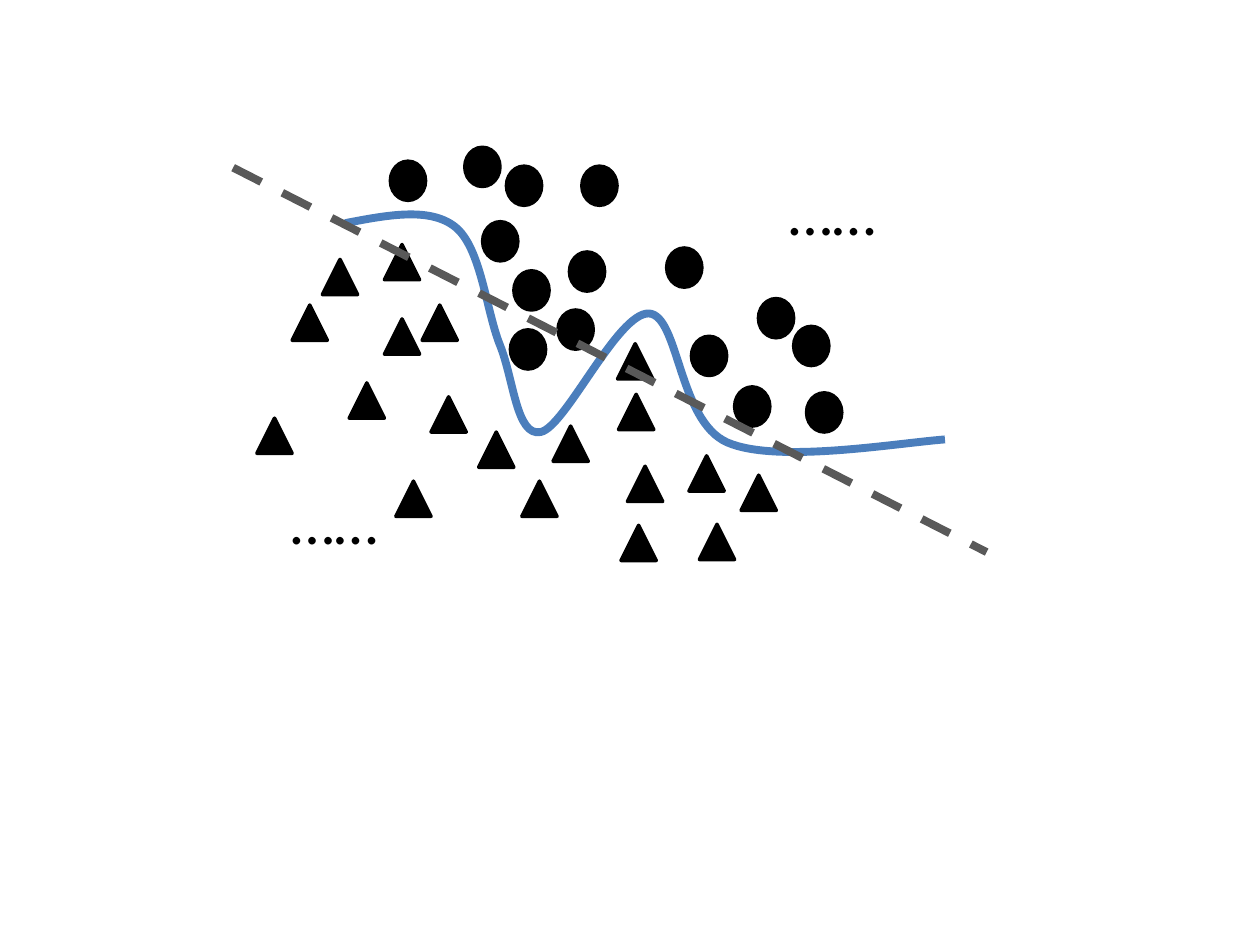
from lxml.etree import SubElement
from pptx import Presentation
from pptx.dml.color import RGBColor
from pptx.enum.dml import MSO_LINE
from pptx.enum.shapes import MSO_CONNECTOR, MSO_SHAPE
from pptx.enum.text import MSO_AUTO_SIZE
from pptx.oxml.ns import qn
from pptx.util import Cm, Pt

# Content: all lengths in centimetres
COLORS = {"marker": "000000", "curve": "4B7EBC", "dashes": "595959"}

CIRCLES = [
    (14.81, 7.8), (11.48, 5.08), (13.44, 5), (11.25, 6.25), (11.73, 3.35),
    (10.21, 3.35), (7.87, 3.25), (10.36, 5.46), (13.94, 6.78), (16.26, 7.92),
    (16, 6.58), (15.29, 6.02), (10.29, 6.65), (9.73, 4.47), (9.37, 2.97),
]
TRIANGLES = [
    (5.18, 8.43), (5.89, 6.15), (7.04, 7.72), (7.75, 4.93), (8.69, 8),
    (7.98, 9.7), (11.15, 8.59), (13.89, 9.19), (12.45, 6.93), (9.65, 8.71),
    (12.52, 10.59), (14.1, 10.57), (14.94, 9.58), (7.75, 6.43), (6.5, 5.23),
    (8.51, 6.15), (12.47, 7.95), (12.65, 9.4), (10.52, 9.7),
]
# Preset shape, width, height, positions
CLASSES = [
    (MSO_SHAPE.OVAL, 0.71, 0.79, CIRCLES),
    (MSO_SHAPE.ISOSCELES_TRIANGLE, 0.71, 0.71, TRIANGLES),
]
ELLIPSES = [("……", 5.61, 9.58), ("……", 15.65, 3.35)]
LINEAR_BOUNDARY = [(4.7, 3.38), (19.89, 11.13)]

# Curved boundary: its frame, its start, then two handles and an end per segment
CURVE_FRAME = (6.96, 4.32, 19.05, 9.1)
CURVE_START = (6.96, 4.5)
CURVE_SEGMENTS = [
    [(7.8, 4.34), (8.66, 4.17), (9.17, 4.57)],
    [(9.7, 4.98), (9.8, 6.27), (10.08, 6.96)],
    [(10.36, 7.65), (10.41, 8.81), (10.9, 8.71)],
    [(11.4, 8.61), (12.45, 6.3), (13.08, 6.32)],
    [(13.69, 6.35), (13.67, 8.48), (14.66, 8.92)],
    [(15.65, 9.35), (18.03, 8.94), (19.05, 8.86)],
]


def style_line(line, color, width):
    line.color.rgb = RGBColor.from_string(COLORS[color])
    line.width = Pt(width)


def add_marker(page, kind, left, top, width, height):
    marker = page.shapes.add_shape(kind, Cm(left), Cm(top), Cm(width), Cm(height))
    marker.shadow.inherit = False
    marker.fill.solid()
    marker.fill.fore_color.rgb = RGBColor.from_string(COLORS["marker"])
    style_line(marker.line, "marker", 2)


def add_dots(page, text, left, top):
    box = page.shapes.add_textbox(Cm(left), Cm(top), Cm(2.72), Cm(1.17))
    box.text_frame.word_wrap = True
    box.text_frame.auto_size = MSO_AUTO_SIZE.SHAPE_TO_FIT_TEXT
    para = box.text_frame.paragraphs[0]
    span = para.add_run()
    span.text = text
    span.font.name = "Calibri"
    span.font.size = Pt(36)
    span.font.color.rgb = RGBColor.from_string(COLORS["marker"])


def add_curve(page):
    left, top, right, bottom = CURVE_FRAME
    builder = page.shapes.build_freeform(Cm(left), Cm(top))
    builder.add_line_segments([(Cm(right), Cm(bottom))], close=False)
    curve = builder.convert_to_shape()
    curve.shadow.inherit = False
    curve.fill.background()
    style_line(curve.line, "curve", 4.5)

    # Swap the straight diagonal of the frame for Bézier segments
    outline = next(curve.element.iter(qn("a:path")))
    for step in list(outline):
        outline.remove(step)
    steps = [("a:moveTo", [CURVE_START])]
    steps += [("a:cubicBezTo", points) for points in CURVE_SEGMENTS]
    for tag, points in steps:
        step = SubElement(outline, qn(tag))
        for x, y in points:
            SubElement(step, qn("a:pt"), x=str(Cm(x - left)), y=str(Cm(y - top)))


def add_dashed_line(page):
    (x1, y1), (x2, y2) = LINEAR_BOUNDARY
    line = page.shapes.add_connector(
        MSO_CONNECTOR.STRAIGHT, Cm(x1), Cm(y1), Cm(x2), Cm(y2))
    style_line(line.line, "dashes", 4.5)
    line.line.dash_style = MSO_LINE.DASH
    SubElement(line.element.spPr, qn("a:effectLst"))


def main():
    deck = Presentation()
    deck.slide_width, deck.slide_height = Cm(25.4), Cm(19.05)
    page = deck.slides.add_slide(deck.slide_layouts[6])

    # Two classes of data points
    for kind, width, height, positions in CLASSES:
        for left, top in positions:
            add_marker(page, kind, left, top, width, height)

    # Dots that stand for further points
    for text, left, top in ELLIPSES:
        add_dots(page, text, left, top)

    # Decision boundaries
    add_curve(page)
    add_dashed_line(page)

    deck.save("out.pptx")


if __name__ == "__main__":
    main()
